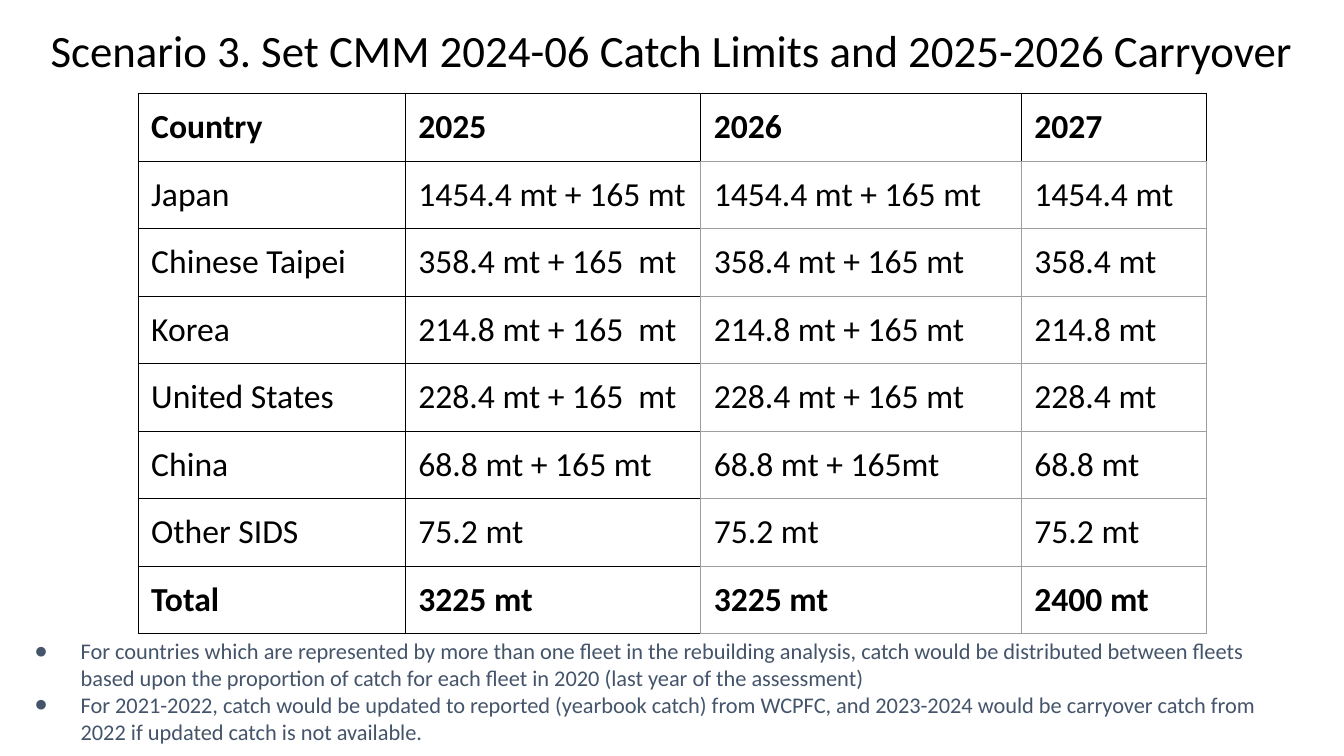
from lxml import etree
from pptx import Presentation
from pptx import util as u
from pptx.dml.color import RGBColor
from pptx.enum import text as t
from pptx.oxml.ns import qn

# Content
TITLE = "Scenario 3. Set CMM 2024-06 Catch Limits and 2025-2026 Carryover"
ROWS = [
    ("Country", "2025", "2026", "2027"),
    ("Japan", "1454.4 mt + 165 mt", "1454.4 mt + 165 mt", "1454.4 mt"),
    ("Chinese Taipei", "358.4 mt + 165  mt", "358.4 mt + 165 mt", "358.4 mt"),
    ("Korea", "214.8 mt + 165  mt", "214.8 mt + 165 mt", "214.8 mt"),
    ("United States", "228.4 mt + 165  mt", "228.4 mt + 165 mt", "228.4 mt"),
    ("China", "68.8 mt + 165 mt", "68.8 mt + 165mt", "68.8 mt"),
    ("Other SIDS", "75.2 mt", "75.2 mt", "75.2 mt"),
    ("Total", "3225 mt", "3225 mt", "2400 mt"),
]
NOTES = [
    "For countries which are represented by more than one fleet in the rebuilding analysis, "
    "catch would be distributed between fleets based upon the proportion of catch for each "
    "fleet in 2020 (last year of the assessment)",
    "For 2021-2022, catch would be updated to reported (yearbook catch) from WCPFC, and "
    "2023-2024 would be carryover catch from 2022 if updated catch is not available.",
]

# Format values
COLORS = {"ink": "000000", "rule": "9E9E9E", "note": "44546A"}
WIDTHS = [2.65, 2.93, 3.18, 1.84]
HIGH = 0.67
PAD = u.Inches(0.13)
INSETS = {"margin_" + side: PAD for side in ("left", "right", "top", "bottom")}


def apply(item, values):
    for name, value in values.items():
        setattr(item, name, value)


def style(para, size, color, bold=False):
    apply(para.font, {"name": "Calibri", "size": u.Pt(size), "bold": bold})
    para.font.color.rgb = RGBColor.from_string(COLORS[color])


def add_box(slide, left, top, width, height):
    box = slide.shapes.add_textbox(*map(u.Inches, (left, top, width, height)))
    apply(box.text_frame, {**INSETS, "word_wrap": True})
    return box.text_frame


def add_edge(props, spot, tag, color):
    line = etree.Element(qn("a:" + tag), w=str(u.Pt(0.75)))
    fill = etree.SubElement(line, qn("a:solidFill"))
    etree.SubElement(fill, qn("a:srgbClr"), val=COLORS[color])
    props.insert(spot, line)


def add_bullet(para):
    props = para._p.get_or_add_pPr()
    props.set("marL", str(u.Inches(0.67)))
    props.set("indent", str(u.Inches(-0.46)))
    tint = etree.SubElement(props, qn("a:buClr"))
    etree.SubElement(tint, qn("a:srgbClr"), val=COLORS["note"])
    etree.SubElement(props, qn("a:buFont"), typeface="Arial")
    etree.SubElement(props, qn("a:buChar"), char="●")


deck = Presentation()
apply(deck, {"slide_width": u.Inches(13.33), "slide_height": u.Inches(7.5)})
slide = deck.slides.add_slide(deck.slide_layouts[6])

# Title
head = add_box(slide, 0, 0.16, 13.33, 0.84).paragraphs[0]
apply(head, {"text": TITLE, "alignment": t.PP_ALIGN.CENTER, "line_spacing": 0.9})
style(head, 32, "ink")

# Catch table
area = map(u.Inches, (1.37, 0.93, sum(WIDTHS), HIGH * len(ROWS)))
table = slide.shapes.add_table(len(ROWS), len(WIDTHS), *area).table
apply(table, {"first_row": False, "horz_banding": False})
for col, width in zip(table.columns, WIDTHS):
    col.width = u.Inches(width)
for r, row in enumerate(ROWS):
    table.rows[r].height = u.Inches(HIGH)
    for c, label in enumerate(row):
        cell = table.cell(r, c)
        apply(cell, {**INSETS, "text": label})
        style(cell.text_frame.paragraphs[0], 24, "ink", r in (0, len(ROWS) - 1))
        cell.fill.background()
        # The header and the first two columns have black edges
        dark = {"lnL": r == 0 or c < 2, "lnR": r == 0 or c < 1,
                "lnT": r == 0 or c < 2, "lnB": c < 2}
        for spot, (tag, black) in enumerate(dark.items()):
            add_edge(cell._tc.get_or_add_tcPr(), spot, tag, "ink" if black else "rule")

# Notes
frame = add_box(slide, 0, 6.19, 12.97, 1.23)
for i, note in enumerate(NOTES):
    para = frame.add_paragraph() if i else frame.paragraphs[0]
    para.text = note
    add_bullet(para)
    style(para, 16, "note")

deck.save("out.pptx")
